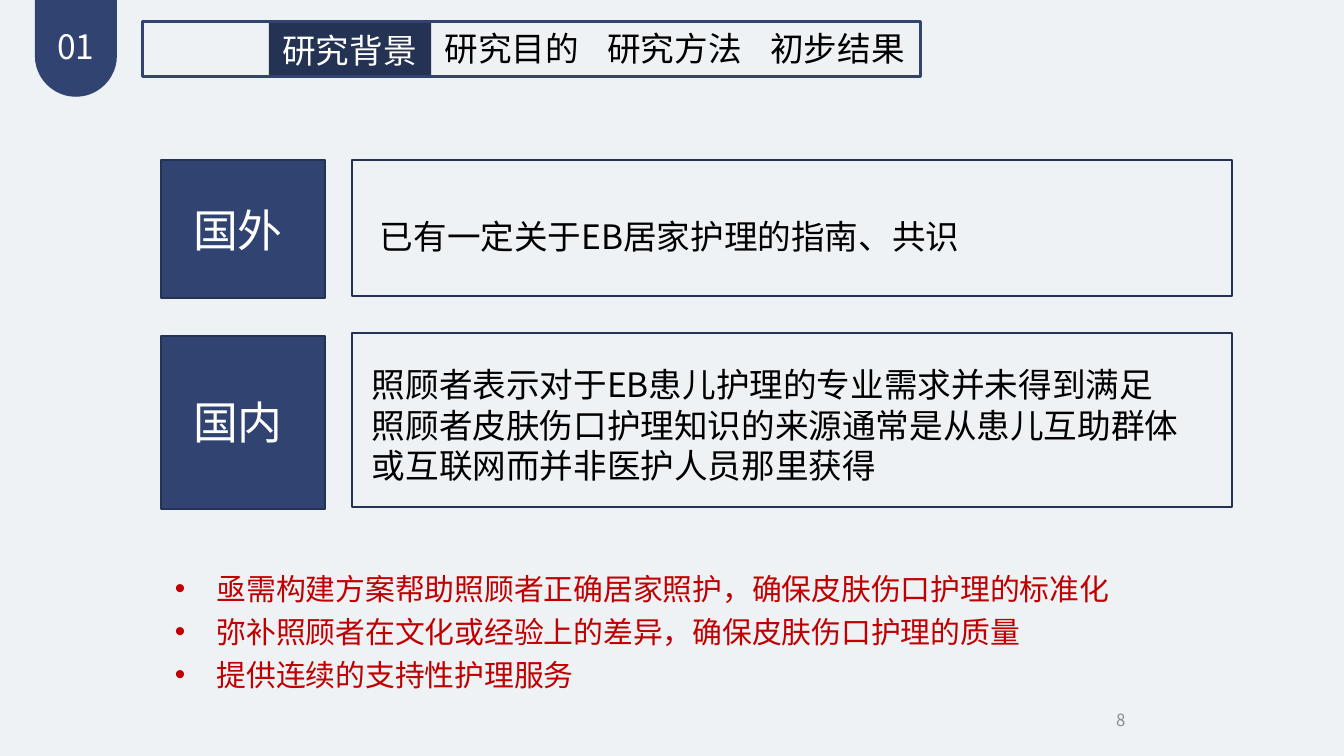
"""Build the research background slide with its tab bar, two rows and a list."""
from lxml import etree
from pptx import Presentation
from pptx.dml.color import RGBColor
from pptx.enum.shapes import MSO_SHAPE
from pptx.enum.text import MSO_ANCHOR, MSO_AUTO_SIZE, PP_ALIGN
from pptx.oxml.ns import qn
from pptx.util import Cm, Pt

RECT = MSO_SHAPE.RECTANGLE
TAB = MSO_SHAPE.ROUND_2_SAME_RECTANGLE
TOP, MIDDLE = MSO_ANCHOR.TOP, MSO_ANCHOR.MIDDLE
LEFT, CENTER, RIGHT = PP_ALIGN.LEFT, PP_ALIGN.CENTER, PP_ALIGN.RIGHT
FIXED = MSO_AUTO_SIZE.NONE
FONT = "Noto Sans CJK SC"
BLUE, NAVY, WHITE, BLACK, RED = "304371", "243254", "FFFFFF", "000000", "C00000"
rgb = RGBColor.from_string


def write(shape, area, text, size, color, align=LEFT, anchor=TOP):
    shape.left, shape.top, shape.width, shape.height = map(Cm, area)
    frame = shape.text_frame
    frame.text = text
    frame.word_wrap = True
    frame.auto_size = FIXED
    frame.vertical_anchor = anchor
    for para in frame.paragraphs:
        para.alignment = align
        for run in para.runs:
            run.font.size = Pt(size)
            run.font.name = FONT
            run.font.color.rgb = rgb(color)
            etree.SubElement(run.font._element, qn("a:ea"), typeface=FONT)


def block(shapes, kind, area, fill=None, line=None, width=1):
    shape = shapes.add_shape(kind, *map(Cm, area))
    shape.shadow.inherit = False
    if fill:
        shape.fill.solid()
        shape.fill.fore_color.rgb = rgb(fill)
    else:
        shape.fill.background()
    if line:
        shape.line.color.rgb = rgb(line)
        shape.line.width = Pt(width)
    else:
        shape.line.fill.background()
    return shape


deck = Presentation()
deck.slide_width, deck.slide_height = Cm(25.4), Cm(14.29)
slide = deck.slides.add_slide(deck.slide_layouts[1])
slide.background.fill.solid()
slide.background.fill.fore_color.rgb = rgb("EEF2F5")
shapes = slide.shapes

badge = block(shapes, TAB, (0.66, 0, 1.55, 1.83), BLUE)
badge.adjustments[0] = 0
badge.adjustments[1] = 0.5
write(shapes.add_textbox(0, 0, 0, 0), (0.66, 0.36, 1.55, 1.02), "01", 18, WHITE, CENTER)

title = shapes.title
write(title, (5.08, 0.43, 3.07, 1.02), "研究背景", 18, WHITE)
title.fill.solid()
title.fill.fore_color.rgb = rgb(NAVY)
block(shapes, RECT, (2.69, 0.41, 14.71, 1.04), line=BLUE, width=1.5)
for i, name in enumerate(("研究目的", "研究方法", "初步结果")):
    write(shapes.add_textbox(0, 0, 0, 0), (8.15 + 3.08 * i, 0.41, 3.07, 1.02), name, 18, BLACK)

rows = (
    ("国外", 3.02, 2.62, 3.02, 2.57, 3.71, (6.93, 3.96, 12.93, 1.02),
     "已有一定关于EB居家护理的指南、共识"),
    ("国内", 6.35, 3.28, 6.3, 3.28, 7.34, (6.78, 6.76, 16.36, 3.2),
     "照顾者表示对于EB患儿护理的专业需求并未得到满足\n"
     "照顾者皮肤伤口护理知识的来源通常是从患儿互助群体或互联网而并非医护人员那里获得"),
)
for name, top, high, box_top, box_high, name_top, area, text in rows:
    group = shapes.add_group_shape().shapes
    block(group, RECT, (3.05, top, 3.1, high), BLUE, NAVY)
    block(group, RECT, (6.65, box_top, 16.64, box_high), line=NAVY)
    write(shapes.add_textbox(0, 0, 0, 0), (3.4, name_top, 2.41, 1.27), name, 24, WHITE)
    write(shapes.add_textbox(0, 0, 0, 0), area, text, 18, BLACK)

needs = (
    "亟需构建方案帮助照顾者正确居家照护，确保皮肤伤口护理的标准化",
    "弥补照顾者在文化或经验上的差异，确保皮肤伤口护理的质量",
    "提供连续的支持性护理服务",
)
body = slide.placeholders[1]
write(body, (3.05, 10.52, 22.1, 2.72), "\n".join(needs), 16, RED)
for para in body.text_frame.paragraphs:
    props = para._p.get_or_add_pPr()
    props.set("marL", str(Cm(0.79)))
    props.set("indent", str(Cm(-0.79)))
    etree.SubElement(props, qn("a:buFont"), typeface="Arial")
    etree.SubElement(props, qn("a:buChar"), char="•")
    para.line_spacing = 1.2
    para.space_before = Pt(0)

write(shapes.add_textbox(0, 0, 0, 0), (15.8, 13.23, 5.72, 0.76), "8", 9, "8C8C8C", RIGHT, MIDDLE)

deck.save("out.pptx")
